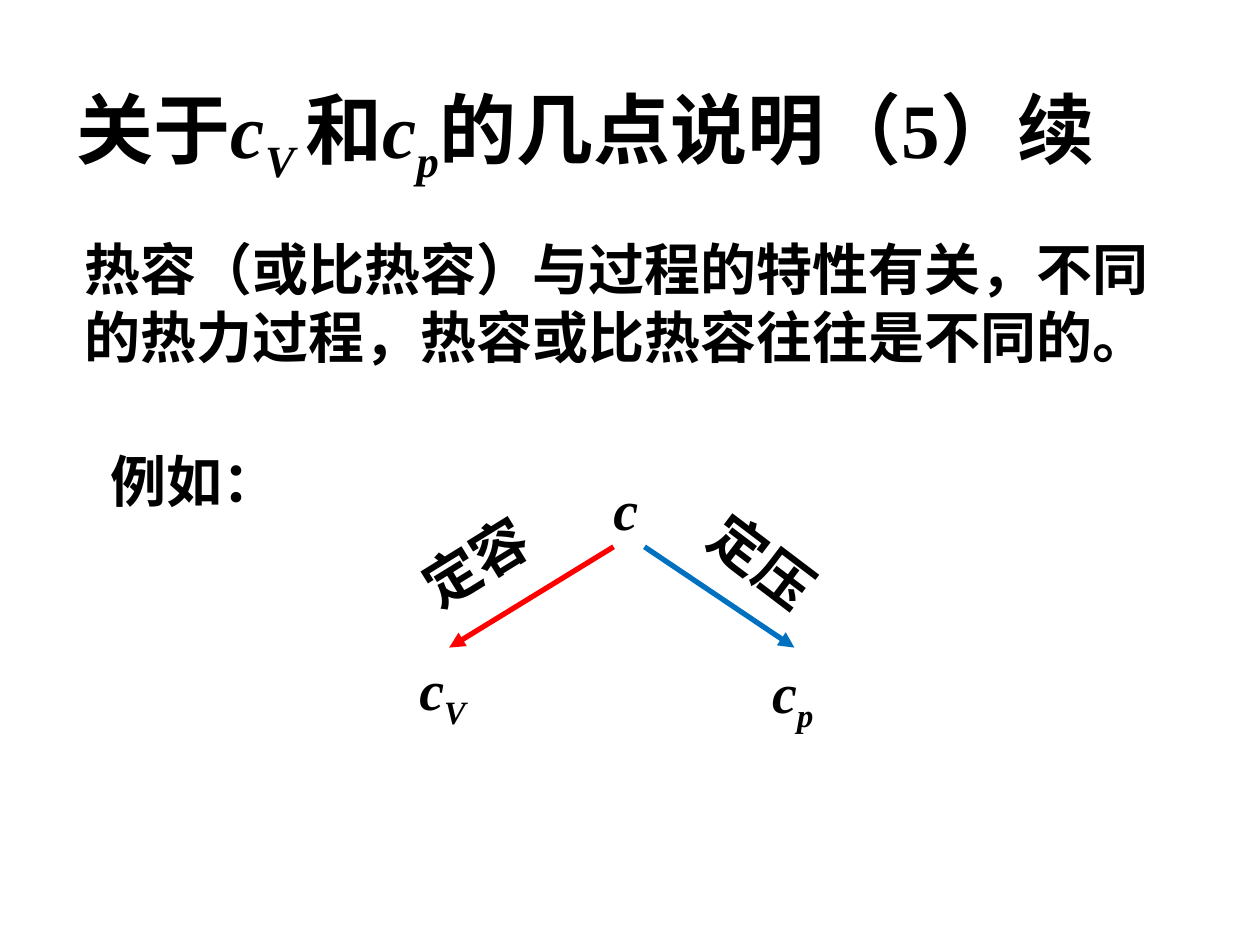
from lxml import etree
from pptx import Presentation
from pptx import util as u
from pptx.dml.color import RGBColor
from pptx.enum import shapes, text
from pptx.oxml import ns

BLACK = RGBColor(0, 0, 0)
RED = RGBColor(0xFF, 0, 0)
BLUE = RGBColor(0, 0x70, 0xC0)
SERIF, SANS = "Times New Roman", "Noto Sans CJK SC"
LINE_HEIGHT = 1.215

deck = Presentation()
deck.slide_width, deck.slide_height = u.Inches(10), u.Inches(7.5)
COLUMN, ROW = deck.slide_width / 100, deck.slide_height / 75
page = deck.slides.add_slide(deck.slide_layouts[5])


def grid(column, row):
    return int(column * COLUMN), int(row * ROW)


def write(box, area, spans, latin, size, wrap=False):
    """Place a box on the grid; spans are (text, style), style "i" italic or "s" italic subscript."""
    box.left, box.top = grid(*area[:2])
    box.width, box.height = grid(*area[2:])
    frame = box.text_frame
    frame.word_wrap = wrap
    frame.auto_size = text.MSO_AUTO_SIZE.NONE
    frame.vertical_anchor = text.MSO_ANCHOR.TOP
    para = frame.paragraphs[0]
    para.alignment = text.PP_ALIGN.LEFT
    para.line_spacing = u.Pt(round(size * LINE_HEIGHT, 1))
    for words, style in spans:
        span = para.add_run()
        span.text = words
        look = {"name": latin, "size": u.Pt(size), "bold": True, "italic": style != ""}
        for key, value in look.items():
            setattr(span.font, key, value)
        span.font.color.rgb = BLACK
        marks = span.font._element
        etree.SubElement(marks, ns.qn("a:ea"), typeface=SANS)
        if style == "s":
            marks.set("baseline", "-25000")


title = [("关于", ""), ("c", "i"), ("V ", "s"), ("和", ""), ("c", "i"), ("p", "s"),
         ("的几点说明（5）续", "")]
write(page.shapes.title, (5.1, 6.9, 94.9, 10), title, SERIF, 44, wrap=True)

statement = "热容（或比热容）与过程的特性有关，不同的热力过程，热容或比热容往往是不同的。"
labels = [
    ((5.7, 18.05, 89.7, 12), [(statement, "")], SANS, 0),
    ((7.8, 34.9, 15.5, 6.4), [("例如：", "")], SANS, 0),
    ((47.7, 37.1, 4, 6.4), [("c", "i")], SERIF, 0),
    ((32.3, 52.1, 6.7, 6.4), [("c", "i"), ("V", "s")], SERIF, 0),
    ((60.3, 52.4, 5.5, 6.4), [("c", "i"), ("p", "s")], SERIF, 0),
    ((32.25, 41.3, 11, 6.4), [("定容", "")], SANS, 328.3),
    ((55.1, 41.3, 11, 6.4), [("定压", "")], SANS, 37.2),
]
for area, spans, latin, angle in labels:
    box = page.shapes.add_textbox(0, 0, 0, 0)
    write(box, area, spans, latin, 32, wrap=spans[0][0] == statement)
    box.rotation = angle

for start, end, colour in [((48.7, 43.4), (35.65, 51.4), RED),
                           ((51.15, 43.4), (63.05, 51.4), BLUE)]:
    arrow = page.shapes.add_connector(shapes.MSO_CONNECTOR.STRAIGHT, *grid(*start), *grid(*end))
    arrow.line.color.rgb = colour
    arrow.line.width = u.Pt(3)
    etree.SubElement(arrow.line._get_or_add_ln(), ns.qn("a:tailEnd"), type="triangle")
    etree.SubElement(arrow._element.spPr, ns.qn("a:effectLst"))

deck.save("out.pptx")
